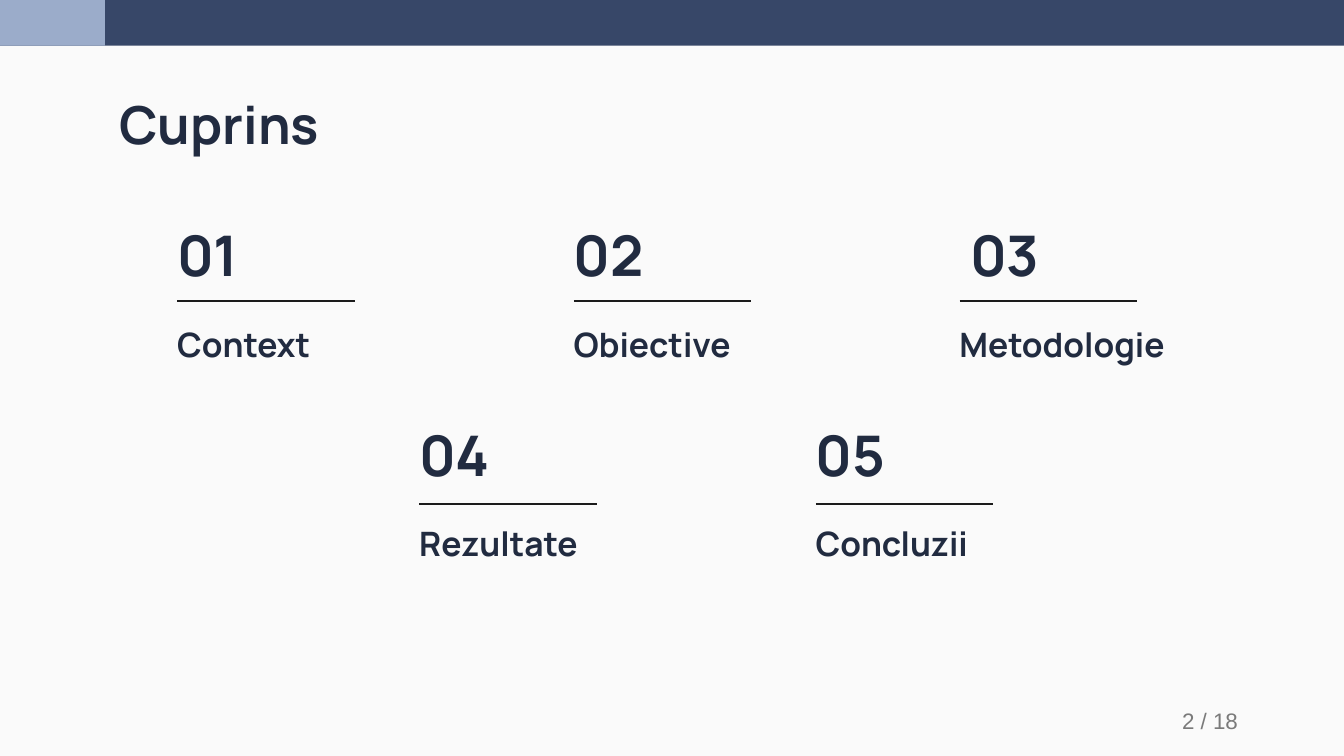
"""Builds the table-of-contents slide with five numbered sections."""
from lxml import etree
from pptx import Presentation
from pptx.dml.color import RGBColor
from pptx.enum.shapes import MSO_CONNECTOR, MSO_SHAPE
from pptx.enum.text import MSO_ANCHOR, PP_ALIGN
from pptx.oxml.ns import qn
from pptx.util import Inches, Pt

RECTANGLE = MSO_SHAPE.RECTANGLE
STRAIGHT = MSO_CONNECTOR.STRAIGHT
TOP, MIDDLE, BOTTOM = MSO_ANCHOR.TOP, MSO_ANCHOR.MIDDLE, MSO_ANCHOR.BOTTOM
LEFT, RIGHT = PP_ALIGN.LEFT, PP_ALIGN.RIGHT

PAPER = RGBColor(0xFA, 0xFA, 0xFA)
NAVY = RGBColor(0x37, 0x47, 0x68)
LIGHT_BLUE = RGBColor(0x9B, 0xAC, 0xCA)
INK = RGBColor(0x21, 0x2B, 0x40)
RULE = RGBColor(0x1B, 0x1B, 0x1B)
GRAY = RGBColor(0x7A, 0x7A, 0x7A)

WIDTH = 10
HEIGHT = WIDTH * 9 / 16
BAR_HEIGHT = 0.34
COLUMN_PITCH = 2.95
RULE_LENGTH = 1.32
INSET = 0.1

presentation = Presentation()
presentation.slide_width = Inches(WIDTH)
presentation.slide_height = Inches(HEIGHT)
slide = presentation.slides.add_slide(presentation.slide_layouts[6])
slide.background.fill.solid()
slide.background.fill.fore_color.rgb = PAPER


def add_text(text, left, top, width, height, size, anchor=BOTTOM,
             font="Manrope", color=INK, bold=True, align=LEFT):
    box = slide.shapes.add_textbox(Inches(left), Inches(top), Inches(width), Inches(height))
    frame = box.text_frame
    frame.word_wrap = True
    frame.vertical_anchor = anchor
    frame.margin_left = frame.margin_right = Inches(INSET)
    frame.margin_top = frame.margin_bottom = Inches(INSET if bold else INSET / 2)
    frame.text = text
    paragraph = frame.paragraphs[0]
    paragraph.alignment = align
    run_font = paragraph.runs[0].font
    run_font.name = font
    run_font.size = Pt(size)
    run_font.bold = bold
    run_font.color.rgb = color


for bar_width, color in ((WIDTH, NAVY), (0.78, LIGHT_BLUE)):
    bar = slide.shapes.add_shape(RECTANGLE, 0, 0, Inches(bar_width), Inches(BAR_HEIGHT))
    bar.shadow.inherit = False
    bar.fill.solid()
    bar.fill.fore_color.rgb = color
    bar.line.fill.background()

add_text("Cuprins", 0.79, 0.59, 8.43, 0.63, 28, anchor=TOP)

rows = [
    (1.22, 1.69, 2.24, 2.32, ["Context", "Obiective", "Metodologie"]),
    (3.02, 3.18, 3.75, 3.8, ["Rezultate", "Concluzii"]),
]
number = 0
for row_left, number_top, rule_top, label_top, labels in rows:
    for column, label in enumerate(labels):
        number += 1
        left = row_left + column * COLUMN_PITCH
        label_left, label_width = (7.04, 2.07) if column == 2 else (left, 2.52)
        add_text(f"{number:02}", left, number_top, 0.8, 0.55, 30)
        add_text(label, label_left, label_top, label_width, 0.49, 18)

        rule_left = label_left + INSET
        rule = slide.shapes.add_connector(
            STRAIGHT, Inches(rule_left), Inches(rule_top),
            Inches(rule_left + RULE_LENGTH), Inches(rule_top))
        rule.line.color.rgb = RULE
        rule.line.width = Pt(0.75)
        etree.SubElement(rule._element.spPr, qn("a:effectLst"))

add_text("2 / 18", 7.06, 5.21, 2.25, 0.3, 12, anchor=MIDDLE,
         font="Arial", color=GRAY, bold=False, align=RIGHT)

presentation.save("out.pptx")
